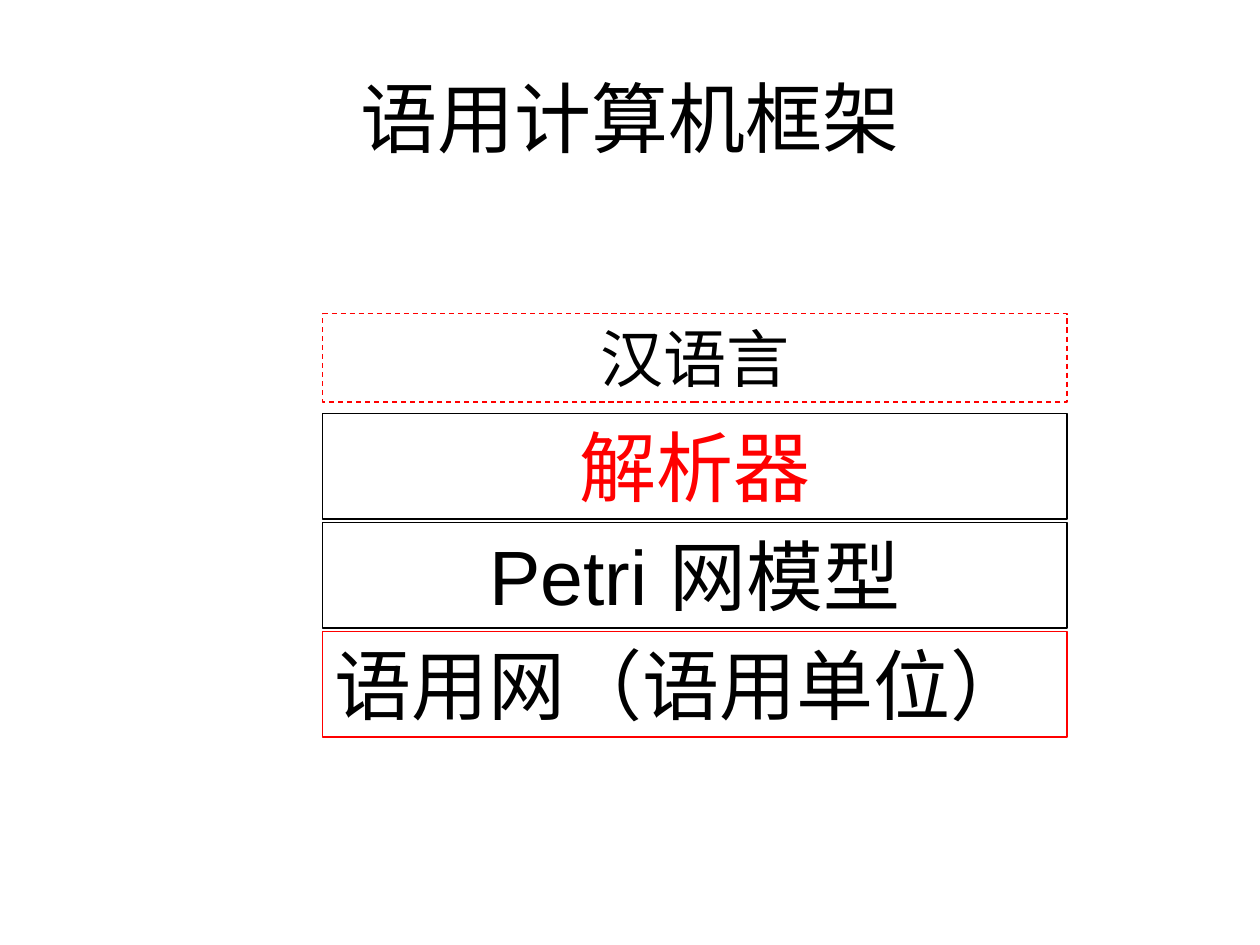
from pptx import Presentation
from pptx.dml.color import RGBColor
from pptx.enum.dml import MSO_LINE
from pptx.enum.shapes import MSO_SHAPE
from pptx.enum.text import MSO_ANCHOR, MSO_AUTO_SIZE, PP_ALIGN
from pptx.util import Inches, Pt

RECTANGLE = MSO_SHAPE.RECTANGLE
DASH = MSO_LINE.DASH
LEFT, CENTER = PP_ALIGN.LEFT, PP_ALIGN.CENTER
TOP, MIDDLE = MSO_ANCHOR.TOP, MSO_ANCHOR.MIDDLE
GROW = MSO_AUTO_SIZE.SHAPE_TO_FIT_TEXT

BLACK, RED = "000000", "FF0000"
TITLE = "语用计算机框架"
LANGUAGE_LAYER = ("汉语言", 36, BLACK, RED, CENTER)
MACHINE_LAYERS = [
    ("解析器", 44, RED, BLACK, CENTER),
    ("Petri 网模型", 44, BLACK, BLACK, CENTER),
    ("语用网（语用单位）", 44, BLACK, RED, LEFT),
]
STACK_LEFT, STACK_WIDTH = 2.56, 5.91
LANGUAGE_TOP, LANGUAGE_HEIGHT = 2.49, 0.7
MACHINE_TOP, MACHINE_HEIGHT, MACHINE_PITCH = 3.28, 0.84, 0.865


def color(value):
    return RGBColor.from_string(value)


def write(shape, text, size, text_color, alignment, anchor):
    frame = shape.text_frame
    frame.word_wrap = True
    frame.vertical_anchor = anchor
    paragraph = frame.paragraphs[0]
    paragraph.text = text
    paragraph.alignment = alignment
    paragraph.font.name = "Arial"
    paragraph.font.size = Pt(size)
    paragraph.font.color.rgb = color(text_color)


def add_layer(slide, layer, top, height):
    text, size, text_color, line_color, alignment = layer
    shape = slide.shapes.add_shape(
        RECTANGLE, Inches(STACK_LEFT), Inches(top), Inches(STACK_WIDTH), Inches(height)
    )
    shape.shadow.inherit = False
    shape.fill.background()
    shape.line.color.rgb = color(line_color)
    shape.line.width = Pt(0.75)
    write(shape, text, size, text_color, alignment, TOP)
    shape.text_frame.auto_size = GROW
    return shape


presentation = Presentation()
presentation.slide_width, presentation.slide_height = Inches(10), Inches(7.5)
slide = presentation.slides.add_slide(presentation.slide_layouts[6])

title = slide.shapes.add_textbox(Inches(0.5), Inches(0.3), Inches(9), Inches(1.25))
write(title, TITLE, 44, BLACK, CENTER, MIDDLE)

for row, layer in reversed(list(enumerate(MACHINE_LAYERS))):
    add_layer(slide, layer, MACHINE_TOP + row * MACHINE_PITCH, MACHINE_HEIGHT)
language = add_layer(slide, LANGUAGE_LAYER, LANGUAGE_TOP, LANGUAGE_HEIGHT)
language.line.dash_style = DASH

presentation.save("out.pptx")
